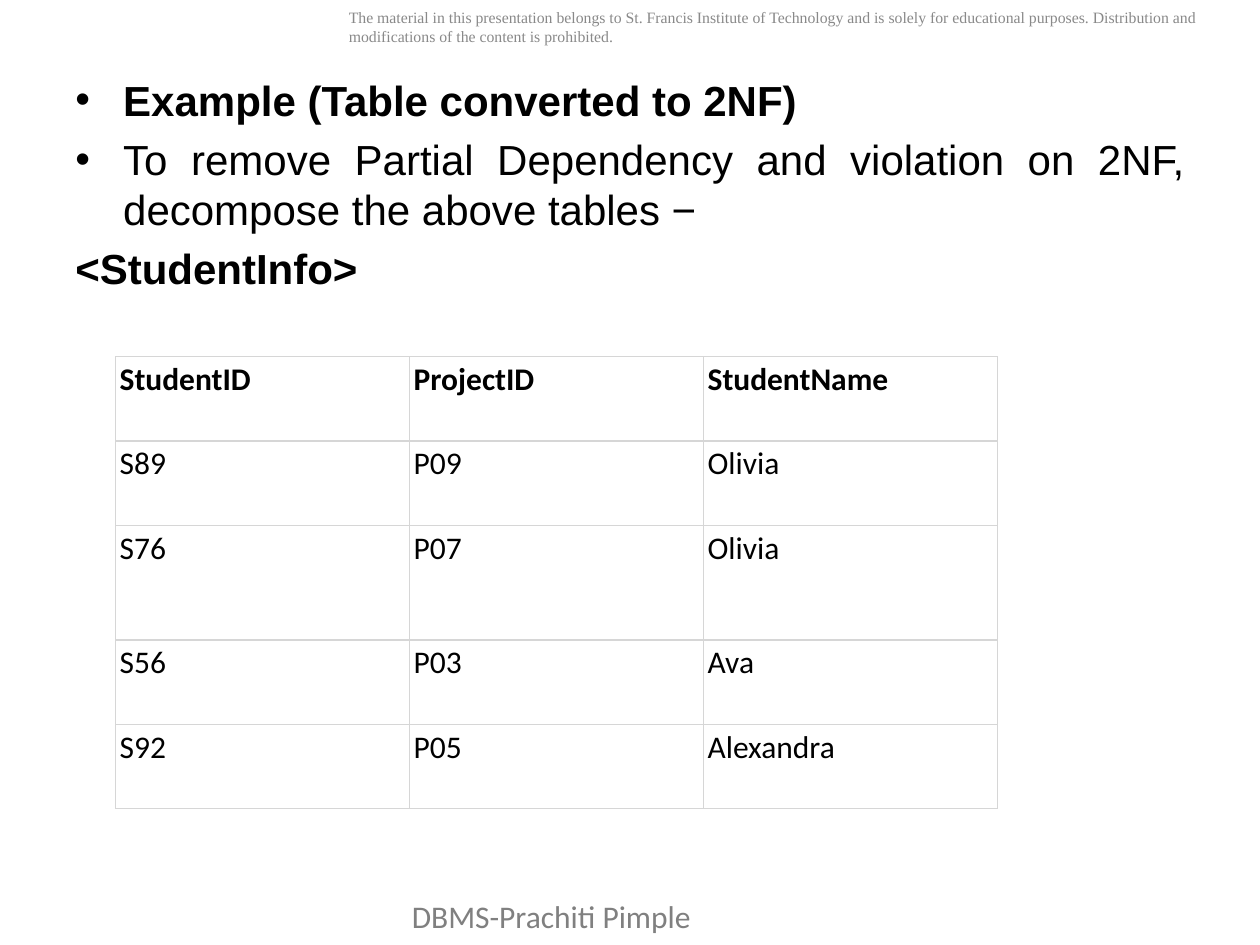
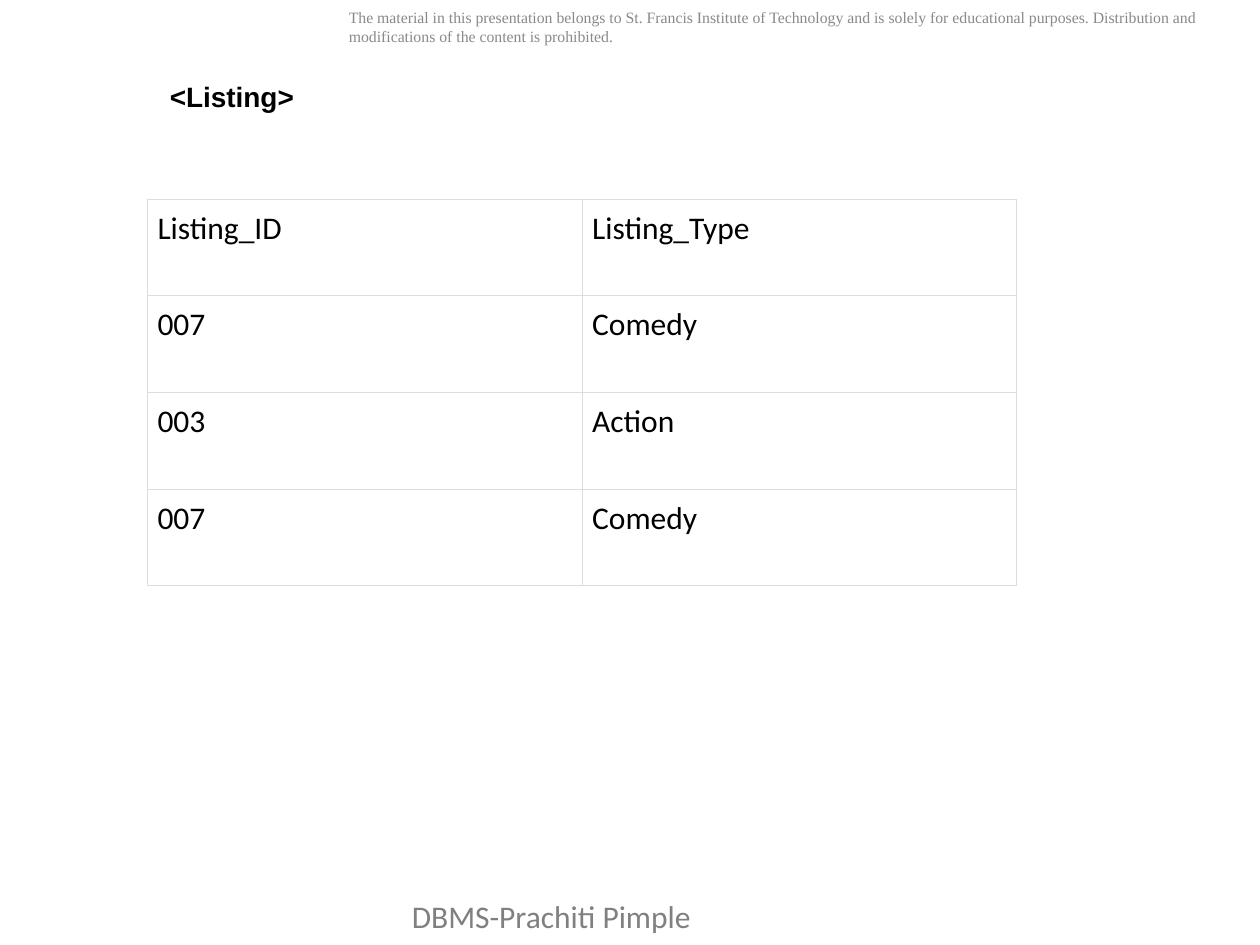
from lxml import etree
from pptx import Presentation
from pptx.dml.color import RGBColor
from pptx.enum.text import MSO_ANCHOR, PP_ALIGN
from pptx.oxml.ns import qn
from pptx.util import Inches, Pt

JUSTIFY = PP_ALIGN.JUSTIFY
TOP = MSO_ANCHOR.TOP
MIDDLE = MSO_ANCHOR.MIDDLE

BLACK = "000000"
NOTICE_GRAY = "898989"
FOOTER_GRAY = "808080"
STUDENT_BORDER = "D6D6D6"
LISTING_BORDER = "DDDDDD"

NOTICE = (
    "The material in this presentation belongs to St. Francis Institute of "
    "Technology and is solely for educational purposes. Distribution and "
    "modifications of the content is prohibited."
)
FOOTER = "DBMS-Prachiti Pimple"

STUDENTS = [
    ["StudentID", "ProjectID", "StudentName"],
    ["S89", "P09", "Olivia"],
    ["S76", "P07", "Olivia"],
    ["S56", "P03", "Ava"],
    ["S92", "P05", "Alexandra"],
]
LISTINGS = [
    ["Listing_ID", "Listing_Type"],
    ["007", "Comedy"],
    ["003", "Action"],
    ["007", "Comedy"],
]


def color(value):
    return RGBColor.from_string(value)


def write(paragraph, text, size=18, font="Calibri", fill=BLACK, bold=False,
          align=None, bullet=False, before=None):
    if bullet:
        properties = paragraph._p.get_or_add_pPr()
        properties.set("marL", str(Inches(0.38)))
        properties.set("indent", str(-Inches(0.38)))
        etree.SubElement(properties, qn("a:buFont")).set("typeface", "Arial")
        etree.SubElement(properties, qn("a:buChar")).set("char", "•")
    if align is not None:
        paragraph.alignment = align
    if before is not None:
        paragraph.space_before = Pt(before)
    run = paragraph.add_run()
    run.text = text
    run.font.size = Pt(size)
    run.font.name = font
    run.font.bold = bold
    run.font.color.rgb = color(fill)


def add_frame(slide, box, wrap=True, anchor=TOP):
    shape = slide.shapes.add_textbox(*map(Inches, box))
    frame = shape.text_frame
    frame.word_wrap = wrap
    frame.vertical_anchor = anchor
    return frame


def add_base_slide(presentation):
    slide = presentation.slides.add_slide(presentation.slide_layouts[6])
    notice = add_frame(slide, (2.67, 0.01, 7.33, 0.71))
    write(notice.paragraphs[0], NOTICE, size=9, font="Times New Roman",
          fill=NOTICE_GRAY)
    footer = add_frame(slide, (3.17, 7.07, 4.08, 0.4))
    write(footer.paragraphs[0], FOOTER, fill=FOOTER_GRAY)
    return slide


def add_borders(cell, border):
    properties = cell._tc.get_or_add_tcPr()
    for index, side in enumerate(("a:lnL", "a:lnR", "a:lnT", "a:lnB")):
        line = etree.Element(qn(side), w=str(Pt(0.75)))
        solid = etree.SubElement(line, qn("a:solidFill"))
        etree.SubElement(solid, qn("a:srgbClr")).set("val", border)
        properties.insert(index, line)


def add_grid(slide, box, rows, heights, border, margin, bold_header=False):
    left, top, width, height = map(Inches, box)
    column_count = len(rows[0])
    table = slide.shapes.add_table(
        len(rows), column_count, left, top, width, height).table
    table.horz_banding = False
    table.first_row = bold_header
    for column in table.columns:
        column.width = width // column_count
    for row_index, (values, row_height) in enumerate(zip(rows, heights)):
        table.rows[row_index].height = Inches(row_height)
        for column_index, value in enumerate(values):
            cell = table.cell(row_index, column_index)
            cell.fill.background()
            cell.margin_left = cell.margin_right = Inches(margin)
            cell.margin_top = cell.margin_bottom = Inches(margin)
            add_borders(cell, border)
            write(cell.text_frame.paragraphs[0], value,
                  bold=bold_header and row_index == 0)


def add_body(slide, box):
    frame = add_frame(slide, box)
    frame.margin_top = Inches(0.09)
    paragraphs = [
        ("Example (Table converted to 2NF)", dict(bold=True, bullet=True)),
        ("To remove Partial Dependency and violation on 2NF, "
         "decompose the above tables −",
         dict(bullet=True, align=JUSTIFY, before=5)),
        ("<StudentInfo>", dict(bold=True, align=JUSTIFY, before=5)),
    ]
    for index, (text, style) in enumerate(paragraphs):
        paragraph = frame.add_paragraph() if index else frame.paragraphs[0]
        write(paragraph, text, size=24, font="Arial", **style)


def build_student_slide(presentation):
    slide = add_base_slide(presentation)
    add_body(slide, (0.5, 0.5, 9, 6.2))
    add_grid(slide, (0.92, 2.83, 7, 3.6), STUDENTS,
             [0.67, 0.67, 0.91, 0.67, 0.67], STUDENT_BORDER, 0.03,
             bold_header=True)


def build_listing_slide(presentation):
    slide = add_base_slide(presentation)
    add_grid(slide, (1.17, 1.58, 6.9, 3.07), LISTINGS,
             [3.07 / len(LISTINGS)] * len(LISTINGS), LISTING_BORDER, 0.08)
    heading = add_frame(slide, (1.25, 0.58, 1.2, 0.37), wrap=False,
                        anchor=MIDDLE)
    write(heading.paragraphs[0], "<Listing>", size=16, font="Arial",
          bold=True, align=JUSTIFY)


def main():
    presentation = Presentation()
    presentation.slide_width = Inches(10)
    presentation.slide_height = Inches(7.5)
    build_student_slide(presentation)
    build_listing_slide(presentation)
    presentation.save("out.pptx")


if __name__ == "__main__":
    main()
